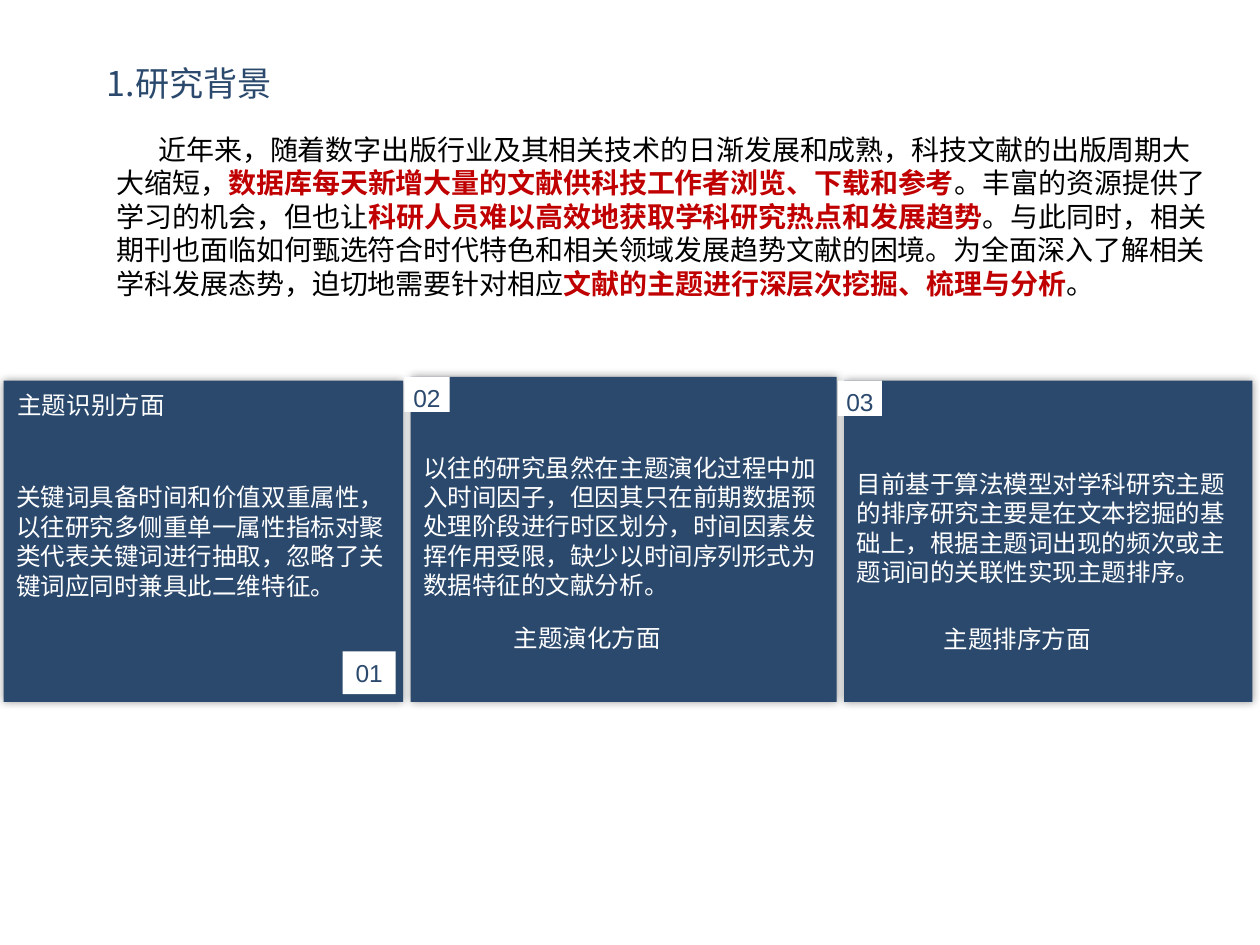
from lxml import etree
from pptx import Presentation
from pptx.dml.color import RGBColor
from pptx.enum.shapes import MSO_SHAPE
from pptx.enum.text import MSO_ANCHOR, PP_ALIGN
from pptx.oxml.ns import qn
from pptx.util import Inches, Pt

RECT = MSO_SHAPE.RECTANGLE
TOP, MIDDLE = MSO_ANCHOR.TOP, MSO_ANCHOR.MIDDLE
LEFT, CENTER = PP_ALIGN.LEFT, PP_ALIGN.CENTER

COLORS = {"navy": "2B496D", "white": "FFFFFF", "black": "000000", "red": "C00000"}
CJK, LATIN, SERIF = "Noto Sans CJK SC", "Arial", "Times New Roman"

WIDTH, HEIGHT = Inches(10), Inches(7.5)
COL, ROW = WIDTH / 100, HEIGHT / 75  # grid of 100 columns by 75 rows

BACKGROUND = [
    ("近年来，随着数字出版行业及其相关技术的日渐发展和成熟，科技文献的出版周期大大缩短，", False),
    ("数据库每天新增大量的文献供科技工作者浏览、下载和参考", True),
    ("。丰富的资源提供了学习的机会，但也让", False),
    ("科研人员难以高效地获取学科研究热点和发展趋势", True),
    ("。与此同时，相关期刊也面临如何甄选符合时代特色和相关领域发展趋势文献的困境。"
     "为全面深入了解相关学科发展态势，迫切地需要针对相应", False),
    ("文献的主题进行深层次挖掘、梳理与分析", True),
    ("。", False),
]

# Tag and heading boxes are offsets from the card's corner, then sizes.
CARDS = [
    {"box": (0.3, 30.2, 31.7, 25.5), "bottom": 0.05,
     "tag": "01", "tag_box": (26.9, 21.5, 4.2, 3.4),
     "heading": "主题识别方面", "heading_box": (0.1, -0.2, 26.7, 3.8),
     "body": "关键词具备时间和价值双重属性，以往研究多侧重单一属性指标对聚类代表关键词"
             "进行抽取，忽略了关键词应同时兼具此二维特征。"},
    {"box": (32.6, 29.9, 33.8, 25.8), "bottom": 0.26,
     "tag": "02", "tag_box": (-0.5, 0, 3.6, 2.8),
     "heading": "主题演化方面", "heading_box": (7.2, 18.6, 26.4, 3.8),
     "body": "以往的研究虽然在主题演化过程中加入时间因子，但因其只在前期数据预处理阶段"
             "进行时区划分，时间因素发挥作用受限，缺少以时间序列形式为数据特征的文献分析。"},
    {"box": (67, 30.2, 32.4, 25.5), "bottom": 0.26,
     "tag": "03", "tag_box": (-0.5, 0, 3.5, 2.8),
     "heading": "主题排序方面", "heading_box": (6.9, 18.4, 25.3, 3.8),
     "body": "目前基于算法模型对学科研究主题的排序研究主要是在文本挖掘的基础上，"
             "根据主题词出现的频次或主题词间的关联性实现主题排序。"},
]


def to_emu(box):
    x, y, w, h = box
    return round(x * COL), round(y * ROW), round(w * COL), round(h * ROW)


def offset(box, part):
    return box[0] + part[0], box[1] + part[1], part[2], part[3]


def add_run(p, text, font, size, color, bold=False):
    r = p.add_run()
    r.text = text
    for name, value in {"name": font, "size": Pt(size), "bold": bold}.items():
        setattr(r.font, name, value)
    r.font.color.rgb = RGBColor.from_string(COLORS[color])
    ea = etree.SubElement(r.font._element, qn("a:ea"))
    ea.set("typeface", CJK)


def add_text(shapes, box, wrap=True):
    tf = shapes.add_textbox(*to_emu(box)).text_frame
    tf.word_wrap = wrap
    return tf.paragraphs[0]


def add_rect(shapes, box, fill, anchor, align, wrap=True):
    sp = shapes.add_shape(RECT, *to_emu(box))
    sp.shadow.inherit = False
    sp.fill.solid()
    sp.fill.fore_color.rgb = RGBColor.from_string(COLORS[fill])
    sp.line.fill.background()
    tf = sp.text_frame
    tf.word_wrap, tf.vertical_anchor = wrap, anchor
    tf.paragraphs[0].alignment = align
    return sp


def add_glow_shadow(sp):
    """Give the shape a soft, centred 40 % black shadow."""
    effects = sp._element.spPr.find(qn("a:effectLst"))
    shadow = etree.SubElement(effects, qn("a:outerShdw"), blurRad=str(Pt(5)),
                              dist="0", dir="0", algn="ctr", rotWithShape="0")
    color = etree.SubElement(shadow, qn("a:srgbClr"), val=COLORS["black"])
    etree.SubElement(color, qn("a:alpha"), val="40000")


def add_title(shapes, box):
    add_run(add_text(shapes, box), "1.研究背景", CJK, 19.5, "navy")


def add_background(shapes, box):
    p = add_text(shapes, box)
    pPr = p._p.get_or_add_pPr()
    pPr.set("marL", "0")
    pPr.set("indent", str(Inches(0.33)))
    for text, key in BACKGROUND:
        add_run(p, text, CJK, 16, "red" if key else "black", key)


def add_card(shapes, box, card):
    group = shapes.add_group_shape().shapes
    panel = add_rect(group, box, "navy", MIDDLE, LEFT)
    add_glow_shadow(panel)
    panel.text_frame.margin_bottom = Inches(card["bottom"])
    add_run(panel.text_frame.paragraphs[0], card["body"], SERIF, 14, "white")

    tag = add_rect(group, offset(box, card["tag_box"]), "white", TOP, CENTER, wrap=False)
    add_run(tag.text_frame.paragraphs[0], card["tag"], LATIN, 14, "navy")

    heading = add_text(group, offset(box, card["heading_box"]))
    heading.line_spacing = 1.2
    add_run(heading, card["heading"], CJK, 14, "white")


def main():
    prs = Presentation()
    prs.slide_width, prs.slide_height = WIDTH, HEIGHT
    s = prs.slides.add_slide(prs.slide_layouts[6])
    add_title(s.shapes, (7.5, 4.5, 84.7, 4.3))
    add_background(s.shapes, (8.3, 10, 89.3, 14.5))
    for card in CARDS:
        add_card(s.shapes, card["box"], card)
    prs.save("out.pptx")


if __name__ == "__main__":
    main()
